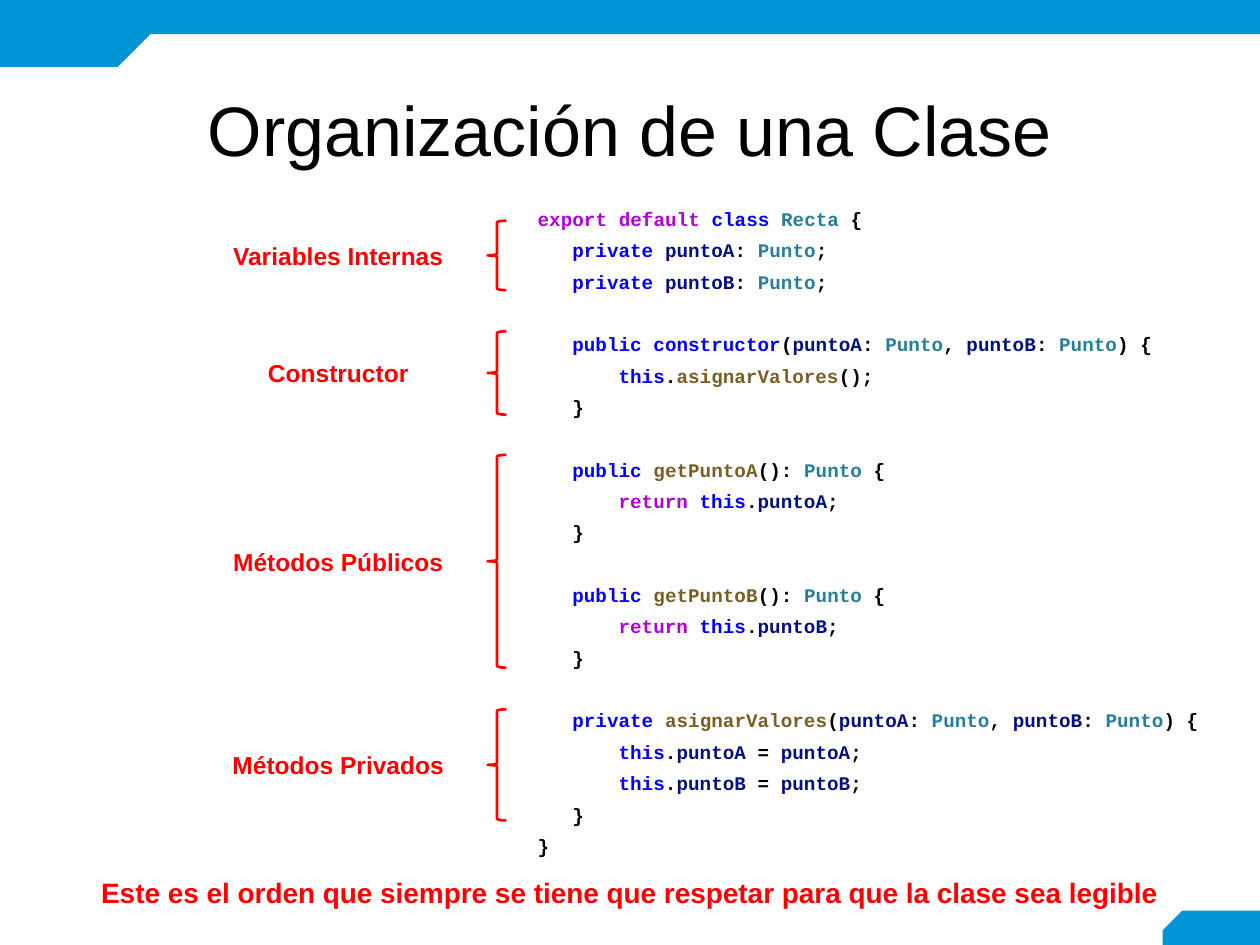
import dataclasses
import itertools

import pptx
import pptx.dml.color
import pptx.enum.shapes
import pptx.enum.text
import pptx.util

Cm, Pt = pptx.util.Cm, pptx.util.Pt
SHAPE = pptx.enum.shapes.MSO_SHAPE
ALIGN = pptx.enum.text.PP_ALIGN
MIDDLE = pptx.enum.text.MSO_ANCHOR.MIDDLE

HEX = {
    "blue": "0195D6", "red": "FF0000", "black": "000000",
    "flow": "AF00DB", "key": "0000FF", "type": "267F99",
    "var": "001080", "call": "795E26",
}
WORDS = {
    "flow": "export default return",
    "key": "class private public constructor this",
    "type": "Recta Punto",
    "var": "puntoA puntoB",
    "call": "asignarValores getPuntoA getPuntoB",
}
KIND = {word: kind for kind, words in WORDS.items() for word in words.split()}

TITLE = {"size": Pt(40), "name": "Arial", "bold": False}
LABEL = {"size": Pt(14), "name": "Arial", "bold": True}
NOTE = {**LABEL, "size": Pt(16)}
MONO = {"size": Pt(11), "name": "Courier New", "bold": True}
CHAR = 6.6  # width of one code character in points
PITCH = 17.8  # height of one code line in points


@dataclasses.dataclass
class Box:
    left: float
    top: float
    width: float
    height: float

    def cm(self) -> tuple:
        return tuple(Cm(v) for v in dataclasses.astuple(self))


@dataclasses.dataclass
class Part:
    label: str
    top: float
    height: float


@dataclasses.dataclass
class Line:
    code: str
    indent: int = 0
    gap: bool = False


PARTS = [
    Part("Variables Internas", 4.45, 1.4),
    Part("Constructor", 6.68, 1.68),
    Part("Métodos Públicos", 9.17, 4.29),
    Part("Métodos Privados", 14.3, 2.24),
]
CODE = [
    Line("export default class Recta {"),
    Line("private puntoA: Punto;", 3),
    Line("private puntoB: Punto;", 3),
    Line("public constructor(puntoA: Punto, puntoB: Punto) {", 3, True),
    Line("this.asignarValores();", 7),
    Line("}", 3),
    Line("public getPuntoA(): Punto {", 3, True),
    Line("return this.puntoA;", 7),
    Line("}", 3),
    Line("public getPuntoB(): Punto {", 3, True),
    Line("return this.puntoB;", 7),
    Line("}", 3),
    Line("private asignarValores(puntoA: Punto, puntoB: Punto) {", 3, True),
    Line("this.puntoA = puntoA;", 7),
    Line("this.puntoB = puntoB;", 7),
    Line("}", 3),
    Line("}"),
]


def rgb(name: str) -> pptx.dml.color.RGBColor:
    return pptx.dml.color.RGBColor.from_string(HEX[name])


def style(font, form: dict, color: str) -> None:
    for key, value in form.items():
        setattr(font, key, value)
    font.color.rgb = rgb(color)


def band(slide, kind, box: Box, turn: int = 0) -> None:
    """Draw a blue edge band; a snipped one is mirrored, then turned."""
    shape = slide.shapes.add_shape(kind, *box.cm())
    shape.shadow.inherit = False
    shape.fill.solid()
    shape.fill.fore_color.rgb = rgb("blue")
    shape.line.fill.background()
    shape.rotation = turn
    if kind == SHAPE.SNIP_1_RECTANGLE:
        shape.adjustments[0] = 0.5
        shape._element.spPr.get_or_add_xfrm().set("flipH", "1")


def frame(slide, box: Box):
    text = slide.shapes.add_textbox(*box.cm()).text_frame
    text.word_wrap = True
    for side in ("left", "top", "right", "bottom"):
        setattr(text, f"margin_{side}", Cm(0.25))
    return text


def label(slide, words: str, box: Box, form: dict) -> None:
    text = frame(slide, box)
    text.vertical_anchor = MIDDLE
    para = text.paragraphs[0]
    para.alignment = ALIGN.CENTER
    run = para.add_run()
    run.text = words
    style(run.font, form, "red")


def brace(slide, part: Part) -> None:
    box = Box(9.83, part.top, 0.38, part.height)
    shape = slide.shapes.add_shape(SHAPE.LEFT_BRACE, *box.cm())
    shape.shadow.inherit = False
    shape.fill.background()
    shape.line.color.rgb = rgb("red")
    shape.line.width = Pt(1.5)
    shape.adjustments[0] = 0.083


def listing(slide, box: Box) -> None:
    text = frame(slide, box)
    for i, line in enumerate(CODE):
        para = text.add_paragraph() if i else text.paragraphs[0]
        para.line_spacing = 1.36
        para.space_before = Pt(PITCH if line.gap else 0)
        para._p.get_or_add_pPr().set("marL", str(Pt(CHAR * line.indent)))
        for _, chars in itertools.groupby(line.code, str.isalnum):
            run = para.add_run()
            run.text = "".join(chars)
            style(run.font, MONO, KIND.get(run.text, "black"))


def head(slide, words: str, box: Box) -> None:
    title = slide.shapes.title
    title.left, title.top, title.width, title.height = box.cm()
    title.text_frame.vertical_anchor = MIDDLE
    para = title.text_frame.paragraphs[0]
    para.alignment = ALIGN.CENTER
    para.line_spacing = 0.9
    run = para.add_run()
    run.text = words
    style(run.font, TITLE, "black")


def main() -> None:
    deck = pptx.Presentation()
    deck.slide_width, deck.slide_height = Cm(25.4), Cm(19.05)
    slide = deck.slides.add_slide(deck.slide_layouts[5])

    band(slide, SHAPE.SNIP_1_RECTANGLE, Box(23.44, 18.36, 1.96, 0.79))
    band(slide, SHAPE.RECTANGLE, Box(2.84, 0, 22.56, 0.69))
    band(slide, SHAPE.SNIP_1_RECTANGLE, Box(0, 0, 3.05, 1.35), 180)
    head(slide, "Organización de una Clase", Box(0.86, 1.65, 23.67, 2.11))
    listing(slide, Box(10.59, 3.76, 13.94, 13.74))

    tall = 1.24
    for part in PARTS:
        brace(slide, part)
        top = part.top + (part.height - tall) / 2
        label(slide, part.label, Box(4.19, top, 5.26, tall), LABEL)
    label(
        slide,
        "Este es el orden que siempre se tiene que respetar para que la clase sea legible",
        Box(0.86, 17.37, 23.67, tall),
        NOTE,
    )
    deck.save("out.pptx")


if __name__ == "__main__":
    main()
